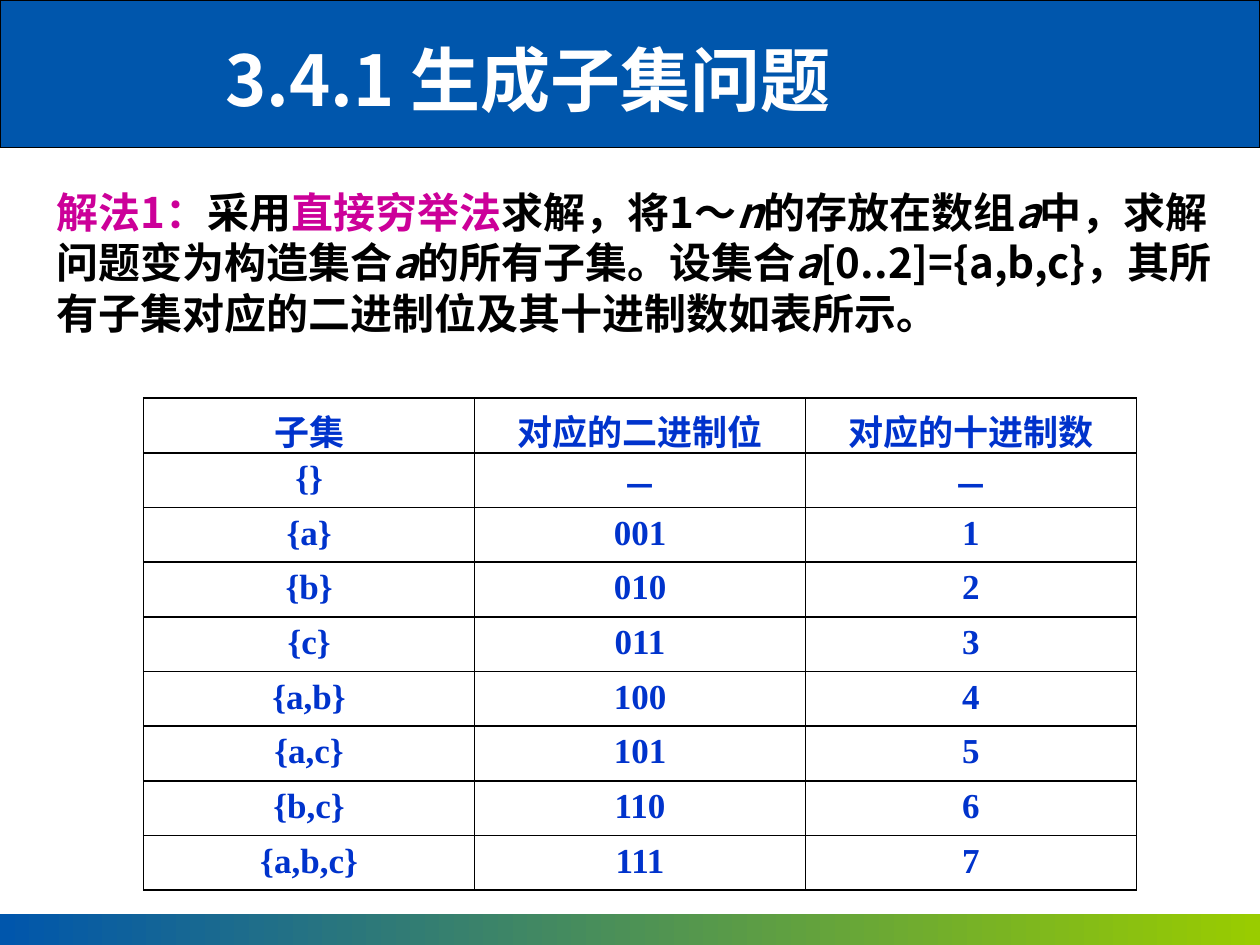
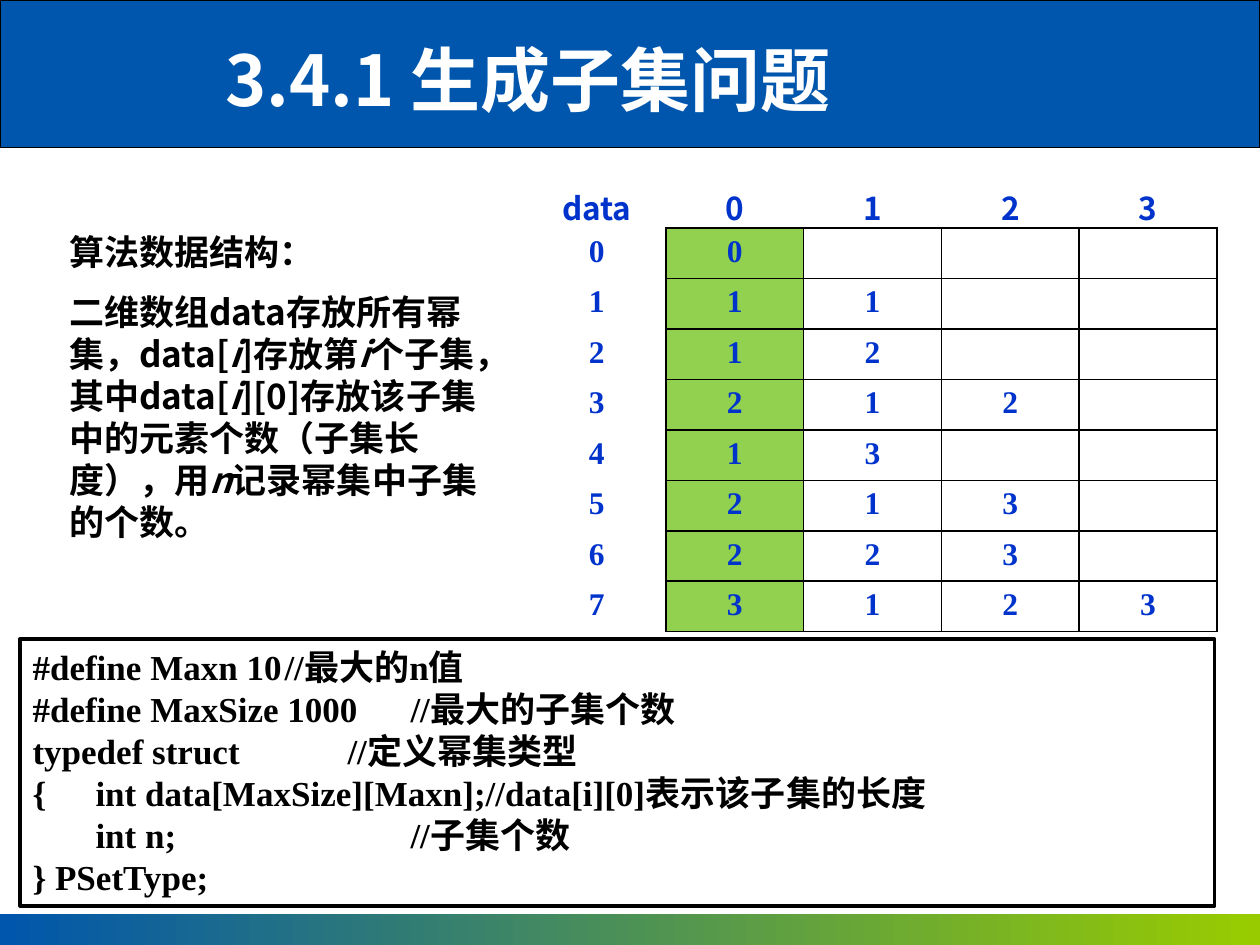
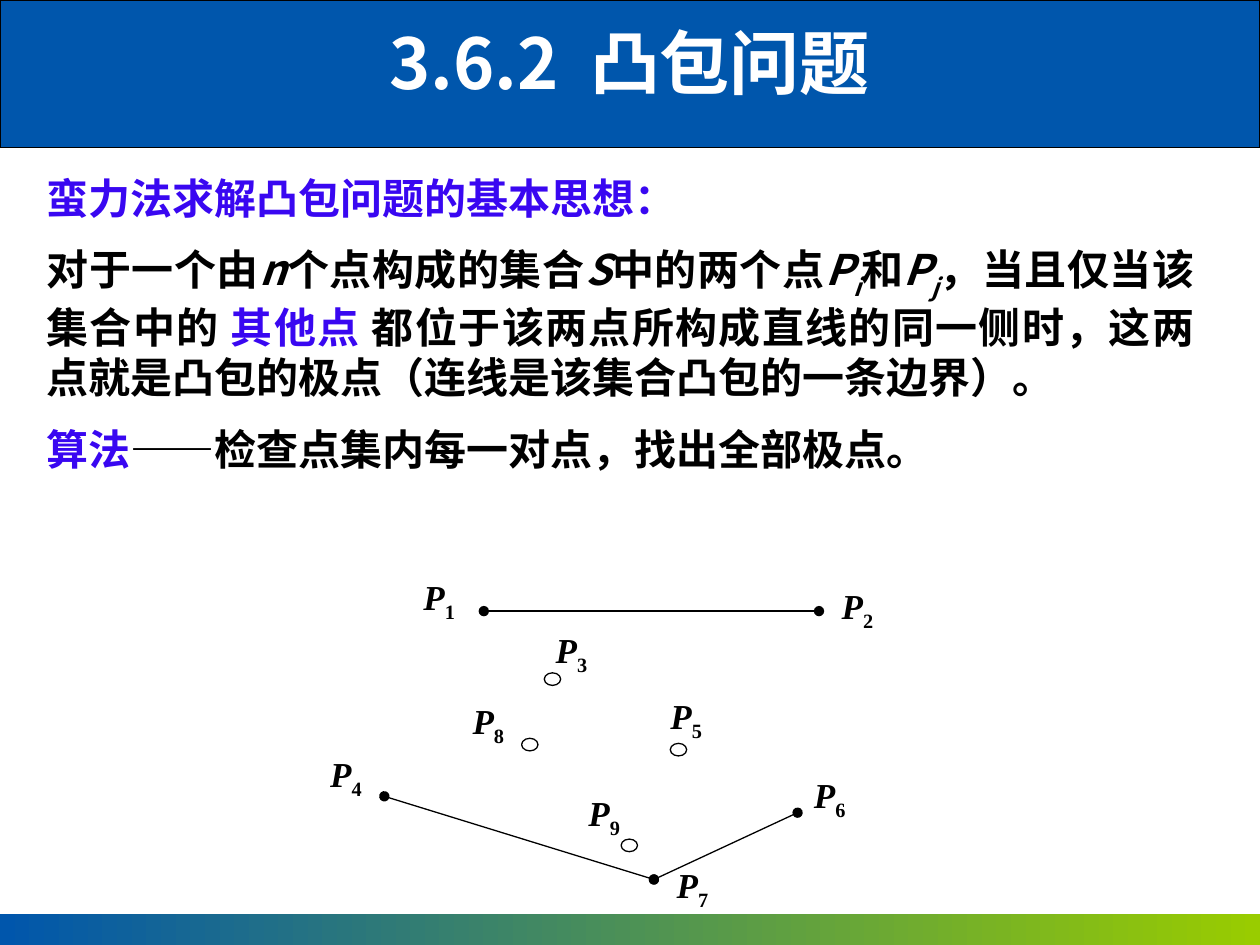
from dataclasses import dataclass
from typing import Optional

from lxml import etree
from pptx import Presentation
from pptx.dml.color import RGBColor
from pptx.enum.shapes import MSO_CONNECTOR, MSO_SHAPE
from pptx.enum.text import MSO_ANCHOR, PP_ALIGN
from pptx.oxml.ns import qn
from pptx.util import Inches, Pt

RECT, OVAL = MSO_SHAPE.RECTANGLE, MSO_SHAPE.OVAL
STRAIGHT = MSO_CONNECTOR.STRAIGHT
LEFT, CENTER, JUSTIFY = PP_ALIGN.LEFT, PP_ALIGN.CENTER, PP_ALIGN.JUSTIFY
TOP = MSO_ANCHOR.TOP
SIDES = "LRTB"


@dataclass(frozen=True)
class Theme:
    sans: str = "Noto Sans CJK SC"
    serif: str = "Times New Roman"
    white: str = "FFFFFF"
    black: str = "000000"
    band: str = "0056AC"
    lime: str = "99CC00"
    magenta: str = "CC0099"
    violet: str = "3907F1"
    table_text: str = "0033CC"
    length_column: str = "92D050"
    title: int = 40
    lead: int = 24
    body: int = 20
    small: int = 18
    thin: float = 0.75
    grid: float = 1
    frame: float = 2


@dataclass(frozen=True)
class Span:
    """A stretch of text that departs from its paragraph's style."""
    text: str
    color: Optional[str] = None
    italic: bool = False
    sub: bool = False


def it(text):
    return Span(text, italic=True)


def rgb(color):
    return RGBColor.from_string(color)


class Deck:
    def __init__(self, theme):
        self.theme = theme
        self.prs = Presentation()
        self.prs.slide_width, self.prs.slide_height = Inches(10), Inches(7.5)
        self.slide = None

    # Slide frame: title band, footer strip and title
    def new_slide(self, title, at, align=LEFT):
        t = self.theme
        self.slide = self.prs.slides.add_slide(self.prs.slide_layouts[6])
        self.shape(RECT, (0, 0, 10, 1.17), fill=t.band, width=t.thin)
        footer = self.shape(RECT, (0, 7.25, 10, 0.25))
        footer.fill.gradient()
        footer.fill.gradient_angle = 0
        for stop, color in zip(footer.fill.gradient_stops, (t.band, t.lime)):
            stop.color.rgb = rgb(color)
        self.text(at, [[title]], t.title, color=t.white, align=align)

    def shape(self, preset, at, fill=None, width=None):
        shape = self.slide.shapes.add_shape(preset, *map(Inches, at))
        shape.shadow.inherit = False
        if fill:
            shape.fill.solid()
            shape.fill.fore_color.rgb = rgb(fill)
        else:
            shape.fill.background()
        if width:
            shape.line.color.rgb = rgb(self.theme.black)
            shape.line.width = Pt(width)
        else:
            shape.line.fill.background()
        return shape

    def style(self, paragraph, size, face, color, align):
        paragraph.alignment = align
        font = paragraph.font
        font.size, font.bold, font.name = Pt(size), True, face
        font.color.rgb = rgb(color)
        defaults = paragraph._p.pPr.find(qn("a:defRPr"))
        etree.SubElement(defaults, qn("a:ea"), typeface=self.theme.sans)

    def put_text(self, frame, paragraphs, size, face, color, align, gap=0):
        for index, spans in enumerate(paragraphs):
            paragraph = frame.add_paragraph() if index else frame.paragraphs[0]
            self.style(paragraph, size, face, color, align)
            if index and gap:
                paragraph.space_before = Pt(gap)
            for span in spans:
                if isinstance(span, str):
                    span = Span(span)
                run = paragraph.add_run()
                run.text = span.text
                if span.color:
                    run.font.color.rgb = rgb(span.color)
                if span.italic:
                    run.font.italic = True
                if span.sub:
                    run._r.get_or_add_rPr().set("baseline", "-25000")

    def text(self, at, paragraphs, size, face=None, color=None, align=LEFT, inset=True):
        t = self.theme
        frame = self.slide.shapes.add_textbox(*map(Inches, at)).text_frame
        frame.word_wrap = True
        if not inset:
            frame.margin_left = frame.margin_right = 0
            frame.margin_top = frame.margin_bottom = 0
        self.put_text(frame, paragraphs, size, face or t.sans, color or t.black, align,
                      gap=size / 2)
        return frame

    def code(self, at, lines):
        t = self.theme
        frame = self.shape(RECT, at, fill=t.white, width=t.frame).text_frame
        frame.word_wrap = True
        frame.vertical_anchor = TOP
        self.put_text(frame, [[line] for line in lines], t.body, t.serif, t.black, LEFT)

    def borders(self, cell, sides):
        props = cell._tc.get_or_add_tcPr()
        for side in SIDES:
            line = etree.SubElement(props, qn(f"a:ln{side}"), w=str(Pt(self.theme.grid)))
            if side in sides:
                fill = etree.SubElement(line, qn("a:solidFill"))
                etree.SubElement(fill, qn("a:srgbClr"), val=self.theme.black)
            else:
                etree.SubElement(line, qn("a:noFill"))

    def table(self, at, rows, size, look):
        """look(row, column) gives the face, the bordered sides and the fill."""
        columns = len(rows[0])
        table = self.slide.shapes.add_table(len(rows), columns, *map(Inches, at)).table
        table.first_row = table.horz_banding = False
        for r, values in enumerate(rows):
            table.rows[r].height = Inches(at[3] / len(rows))
            for c in range(columns):
                face, sides, fill = look(r, c)
                cell = table.cell(r, c)
                self.borders(cell, sides)
                if fill:
                    cell.fill.solid()
                    cell.fill.fore_color.rgb = rgb(fill)
                else:
                    cell.fill.background()
                spans = [values[c]] if c < len(values) else []
                self.put_text(cell.text_frame, [spans], size, face, self.theme.table_text, CENTER)

    def edge(self, start, end):
        edge = self.slide.shapes.add_connector(STRAIGHT, *map(Inches, start + end))
        edge.line.color.rgb = rgb(self.theme.black)
        edge.line.width = Pt(self.theme.thin)
        props = edge._element.spPr
        outline = props.find(qn("a:ln"))
        for tip in ("a:headEnd", "a:tailEnd"):
            etree.SubElement(outline, qn(tip), type="oval")
        etree.SubElement(props, qn("a:effectLst"))

    def point_label(self, number, left, top):
        t = self.theme
        return self.text((left, top, 0.35, 0.35), [[it("P"), Span(str(number), sub=True)]],
                         t.body, t.serif, inset=False)


SUBSET_TITLE = ("3.4.1 生成子集问题", (1.69, 0.24, 5.61, 0.77))


def subset_table_slide(deck):
    t = deck.theme
    deck.new_slide(*SUBSET_TITLE)
    deck.text((0.35, 1.43, 9.45, 1.31), [[
        Span("解法1：", t.magenta), "采用", Span("直接穷举法", t.magenta),
        "求解，将1～", it("n"), "的存放在数组", it("a"),
        "中，求解问题变为构造集合", it("a"), "的所有子集。设集合", it("a"),
        "[0..2]={a,b,c}，其所有子集对应的二进制位及其十进制数如表所示。",
    ]], t.lead)

    # Non-empty subsets are numbered in order, in binary and decimal
    subsets = ["{a}", "{b}", "{c}", "{a,b}", "{a,c}", "{b,c}", "{a,b,c}"]
    rows = [["子集", "对应的二进制位", "对应的十进制数"], ["{}", "－", "－"]]
    rows += [[subset, f"{n:03b}", str(n)] for n, subset in enumerate(subsets, 1)]
    deck.table((1.14, 3.16, 7.88, 3.9), rows, t.body, lambda r, c: (t.serif, SIDES, None))


def data_structure_slide(deck):
    t = deck.theme
    deck.new_slide(*SUBSET_TITLE)
    deck.code((0.16, 5.07, 9.48, 2.12), [
        "#define Maxn 10\t//最大的n值",
        "#define MaxSize 1000\t//最大的子集个数",
        "typedef struct\t\t//定义幂集类型",
        "{\tint data[MaxSize][Maxn];//data[i][0]表示该子集的长度",
        "\tint n;\t\t\t\t//子集个数",
        "} PSetType;",
    ])

    # Rows hold the index, the subset length and its elements
    power_set = ["", "1", "2", "12", "3", "13", "23", "123"]
    rows = [["data", "0", "1", "2", "3"]]
    rows += [[str(i), str(len(subset)), *subset] for i, subset in enumerate(power_set)]

    def look(r, c):
        if r == 0:
            return t.sans, "B" if c else "", None
        if c == 0:
            return t.serif, "R", None
        return t.serif, SIDES, t.length_column if c == 1 else None

    deck.table((4.19, 1.41, 5.47, 3.6), rows, t.small, look)
    deck.text((0.45, 1.78, 3.5, 2.62), [
        ["算法数据结构："],
        ["二维数组data存放所有幂集，data[", it("i"), "]存放第", it("i"),
         "个子集，其中data[", it("i"), "][0]存放该子集中的元素个数（子集长度），用",
         it("n"), "记录幂集中子集的个数。"],
    ], t.body)


def convex_hull_slide(deck):
    t = deck.theme
    deck.new_slide("3.6.2  凸包问题", (2.12, 0.11, 5.75, 0.77), CENTER)
    deck.text((0.27, 1.32, 9.31, 3.05), [
        [Span("蛮力法求解凸包问题的基本思想：", t.violet)],
        ["对于一个由", it("n"), "个点构成的集合", it("S"), "中的两个点",
         it("P"), Span("i", italic=True, sub=True), "和",
         it("P"), Span("j", italic=True, sub=True),
         "，当且仅当该集合中的 ", Span("其他点 ", t.violet),
         "都位于该两点所构成直线的同一侧时，这两点就是凸包的极点（连线是该集合凸包的一条边界）。"],
        [Span("算法", t.violet), "——检查点集内每一对点，找出全部极点。"],
    ], t.lead, align=JUSTIFY)

    # Hull edges and inner points
    p1, p2, p4, p6, p7 = (3.84, 4.85), (6.5, 4.85), (3.05, 6.32), (6.33, 6.45), (5.19, 6.98)
    for start, end in ((p1, p2), (p4, p7), (p7, p6)):
        deck.edge(start, end)
    for left, top in ((4.32, 5.34), (4.14, 5.86), (5.32, 5.9), (4.93, 6.66)):
        deck.shape(OVAL, (left, top, 0.13, 0.1), width=t.thin)

    # Point labels
    labels = {1: (3.36, 4.57), 2: (6.68, 4.64), 3: (4.41, 4.99), 4: (2.62, 5.97),
              5: (5.32, 5.51), 6: (6.46, 6.14), 8: (3.75, 5.55), 9: (4.67, 6.28)}
    for number, place in labels.items():
        deck.point_label(number, *place)
    lowest = deck.point_label(7, 5.37, 6.89)
    lowest.paragraphs[0].line_spacing = 0.8


def main():
    deck = Deck(Theme())
    subset_table_slide(deck)
    data_structure_slide(deck)
    convex_hull_slide(deck)
    deck.prs.save("out.pptx")


if __name__ == "__main__":
    main()
